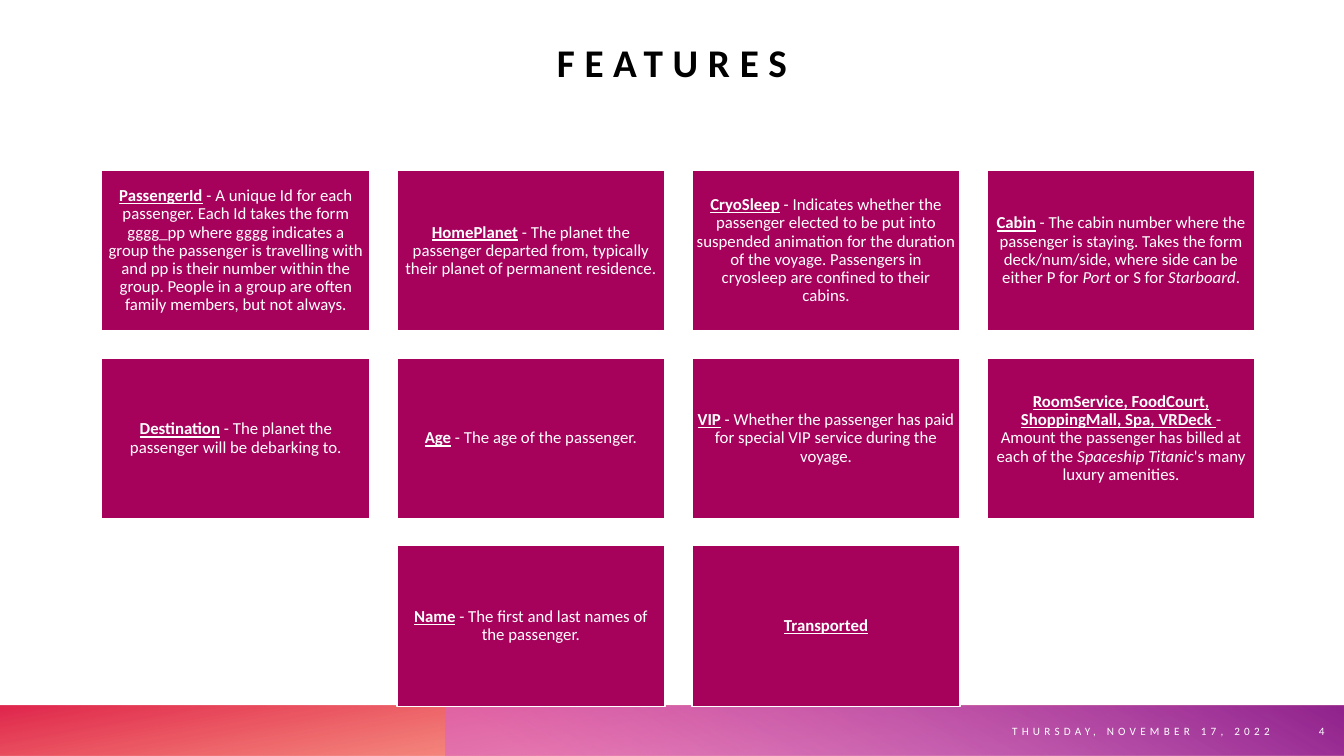
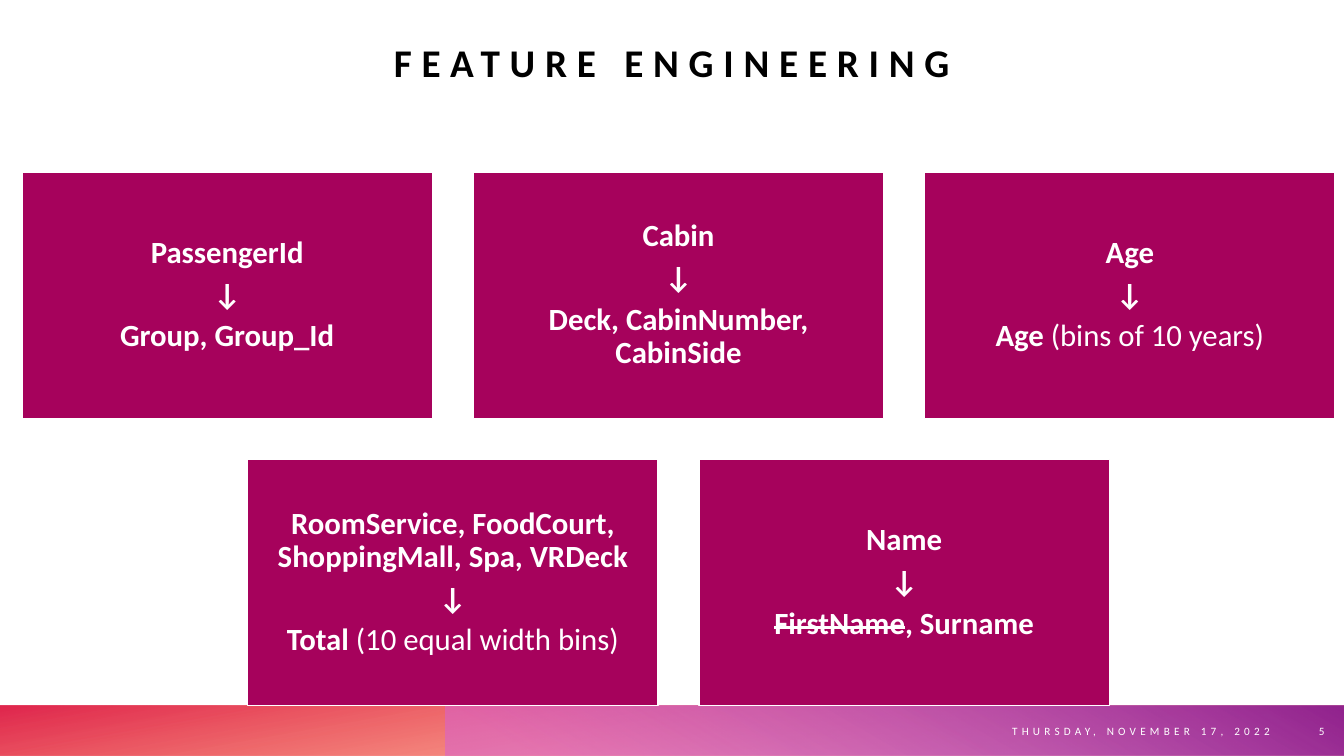
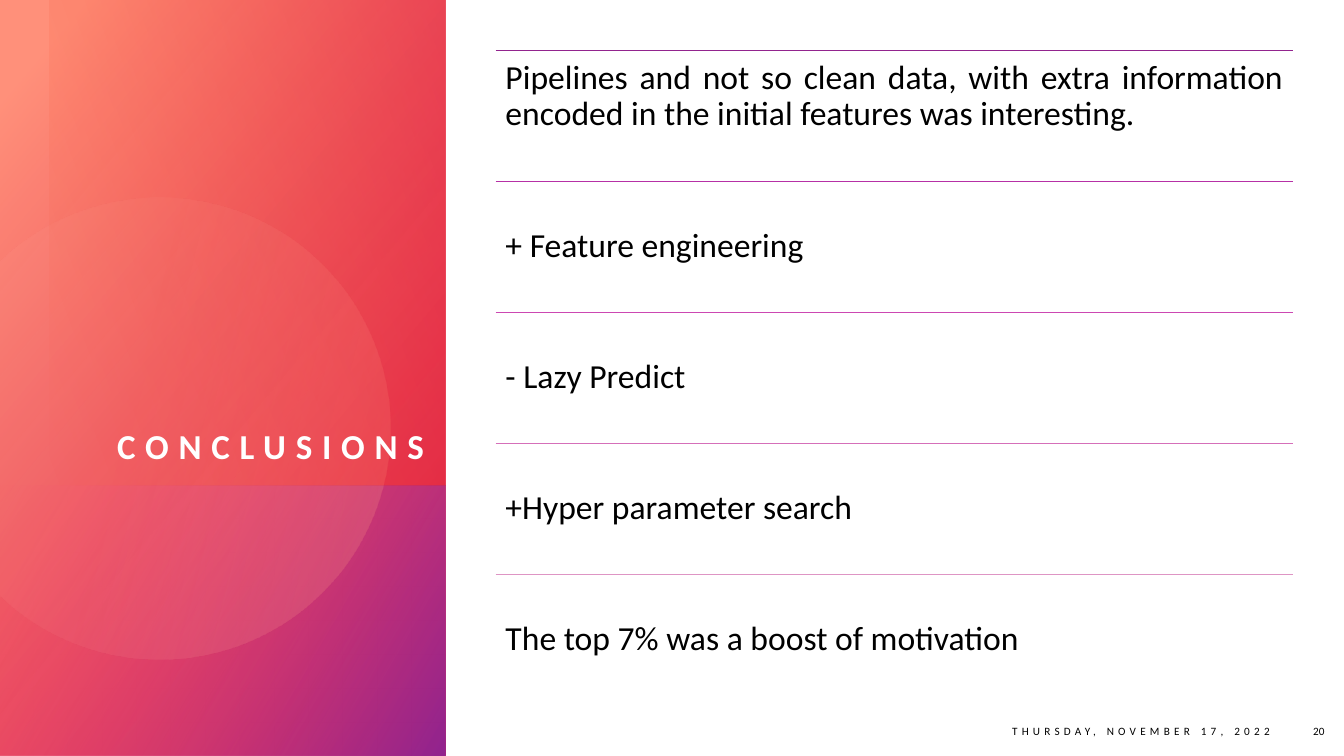
"""Build three slides on passenger features, feature engineering and conclusions."""
import math
from dataclasses import dataclass, replace
from typing import NamedTuple

from lxml import etree
from pptx import Presentation
from pptx import util as u
from pptx.dml import color
from pptx.enum import shapes, text
from pptx.oxml import ns

WIDE, HIGH = 33.87, 19.05
FONT = "Calibri"
WHITE, BLACK, WINE = "FFFFFF", "000000", "A6025C"
LEFT, MID, RIGHT = text.PP_ALIGN.LEFT, text.PP_ALIGN.CENTER, text.PP_ALIGN.RIGHT
DATE = "THURSDAY, NOVEMBER 17, 2022"


class Bit(NamedTuple):
    txt: str
    look: str = ""


class Area(NamedTuple):
    x: float
    y: float
    w: float
    h: float


class Stop(NamedTuple):
    pos: int
    tint: str
    solid: int = 100


@dataclass(frozen=True)
class Type:
    size: int
    tint: str = WHITE
    align: text.PP_ALIGN = MID
    anchor: text.MSO_ANCHOR = text.MSO_ANCHOR.MIDDLE
    pad: float = 0.25
    lead: float = 1.0
    after: int = 0
    track: int = 0


@dataclass(frozen=True)
class Panel:
    area: Area
    stops: tuple[Stop, Stop]
    angle: int
    turn: int = 0


@dataclass(frozen=True)
class Grid:
    top: float
    width: float
    cols: int
    style: Type


HEAD = Type(28, BLACK, anchor=text.MSO_ANCHOR.BOTTOM, pad=0, track=700)
FOOT = Type(8, align=RIGHT)
ITEM = Type(24, BLACK, LEFT, lead=0.9, after=7)

BANDS = (
    Panel(Area(0, 17.78, WIDE, 1.27), (Stop(14, "FE4A00", 28), Stop(100, "DA002F", 85)), 100, 180),
    Panel(Area(11.23, 17.78, 22.64, 1.27), (Stop(9, "D861D4", 55), Stop(99, "92248E")), 240),
)
SIDE = (
    Panel(Area(-3.91, 3.91, HIGH, 11.23), (Stop(8, "FF907A"), Stop(100, "DA002F", 89)), 50, 270),
    Panel(Area(2.19, 10.03, 6.83, 11.23), (Stop(0, "FF5076", 0), Stop(99, "92248E")), 60, 270),
)
GLOW = Panel(Area(0.13, 1.14, 12.22, 9.96), (Stop(0, "DA002F", 29), Stop(100, "FE4A00", 0)), 110, 90)

FIELDS = Grid(4.29, 6.76, 4, Type(12, pad=0.12, lead=0.9, after=3))
STEPS = Grid(4.34, 10.34, 3, Type(22, pad=0.23, lead=0.9, after=6))

FEATURES = (
    (Bit("PassengerId", "bu"), Bit(" - A unique Id for each passenger. Each Id takes the form gggg_pp where gggg "
                                   "indicates a group the passenger is travelling with and pp is their number within "
                                   "the group. People in a group are often family members, but not always.")),
    (Bit("HomePlanet", "bu"), Bit(" - The planet the passenger departed from, typically their planet of "
                                  "permanent residence.")),
    (Bit("CryoSleep", "bu"), Bit(" - Indicates whether the passenger elected to be put into suspended animation for "
                                 "the duration of the voyage. Passengers in cryosleep are confined to their cabins.")),
    (Bit("Cabin", "bu"), Bit(" - The cabin number where the passenger is staying. Takes the form deck/num/side, "
                             "where side can be either P for "),
     Bit("Port", "i"), Bit(" or S for "), Bit("Starboard", "i"), Bit(".")),
    (Bit("Destination", "bu"), Bit(" - The planet the passenger will be debarking to.")),
    (Bit("Age", "bu"), Bit(" - The age of the passenger.")),
    (Bit("VIP", "bu"), Bit(" - Whether the passenger has paid for special VIP service during the voyage.")),
    (Bit("RoomService, FoodCourt, ShoppingMall, Spa, VRDeck ", "bu"),
     Bit("- Amount the passenger has billed at each of the "),
     Bit("Spaceship Titanic", "i"), Bit("'s many luxury amenities.")),
    (Bit("Name", "bu"), Bit(" - The first and last names of the passenger.")),
    (Bit("Transported", "bu"),),
)
CHANGES = (
    ("PassengerId", (Bit("Group, Group_Id", "b"),)),
    ("Cabin", (Bit("Deck, CabinNumber, CabinSide", "b"),)),
    ("Age", (Bit("Age", "b"), Bit(" (bins of 10 years)"))),
    ("RoomService, FoodCourt, ShoppingMall, Spa, VRDeck", (Bit("Total ", "b"), Bit("(10 equal width bins)"))),
    ("Name", (Bit("FirstName", "bs"), Bit(", Surname", "b"))),
)
LESSONS = (
    ("92248E", "Pipelines and not so clean data, with extra information encoded in the initial features "
               "was interesting."),
    ("B630A6", "+ Feature engineering"),
    ("CC48B2", "- Lazy Predict"),
    ("D56FB9", "+Hyper parameter search"),
    ("DE95C4", "The top 7% was a boost of motivation"),
)


def rgb(tint: str) -> color.RGBColor:
    return color.RGBColor.from_string(tint)


def frame(area: Area) -> list[u.Length]:
    return [u.Cm(side) for side in area]


def mark(font, look: set[str]) -> None:
    if "b" in look:
        font.bold = True
    if "u" in look:
        font.underline = True
    if "i" in look:
        font.italic = True


def write(shape, paras, style: Type) -> None:
    body = shape.text_frame
    body.word_wrap = True
    body.vertical_anchor = style.anchor
    body.margin_left = body.margin_right = body.margin_top = body.margin_bottom = u.Cm(style.pad)
    for num, bits in enumerate(paras):
        para = body.add_paragraph() if num else body.paragraphs[0]
        para.alignment = style.align
        para.line_spacing = style.lead
        para.space_after = u.Pt(style.after)
        para.font.name = FONT
        para.font.size = u.Pt(style.size)
        para.font.color.rgb = rgb(style.tint)
        same = set.intersection(*(set(bit.look) for bit in bits))
        mark(para.font, same)
        for bit in bits:
            run = para.add_run()
            run.text = bit.txt
            mark(run.font, set(bit.look) - same)
            if style.track:
                run._r.get_or_add_rPr().set("spc", str(style.track))
            if "s" in bit.look:
                run._r.get_or_add_rPr().set("strike", "sngStrike")


def label(slide, area: Area, paras, style: Type) -> None:
    write(slide.shapes.add_textbox(*frame(area)), paras, style)


def shade(shape, stops: tuple[Stop, Stop], angle: int) -> None:
    shape.shadow.inherit = False
    shape.line.fill.background()
    shape.fill.gradient()
    shape.fill.gradient_angle = 360 - angle
    for mark_, stop in zip(shape.fill.gradient_stops, stops):
        mark_.position = stop.pos / 100
        mark_.color.rgb = rgb(stop.tint)
    for node, stop in zip(shape.element.xpath(".//a:gs/a:srgbClr"), stops):
        etree.SubElement(node, ns.qn("a:alpha")).set("val", str(stop.solid * 1000))


def paint(slide, panel: Panel) -> None:
    shape = slide.shapes.add_shape(shapes.MSO_SHAPE.RECTANGLE, *frame(panel.area))
    shade(shape, panel.stops, panel.angle)
    shape.rotation = panel.turn
    shape.element.xpath(".//a:xfrm")[0].set("flipH", "1")


def disc(slide, x: float, y: float, rad: float) -> None:
    edge = math.acos(-x / rad)
    turns = [edge * (step / 60 - 1) for step in range(121)]
    dots = [(u.Cm(x + rad * math.cos(turn)), u.Cm(y + rad * math.sin(turn))) for turn in turns]
    form = slide.shapes.build_freeform(*dots[0], scale=1.0)
    form.add_line_segments(dots[1:], close=True)
    shade(form.convert_to_shape(), (Stop(36, "FFBCAF", 6), Stop(100, "FF907A", 26)), 14)


def tiles(slide, grid: Grid, cells) -> None:
    gap, high = grid.width / 10, grid.width * 0.6
    for first in range(0, len(cells), grid.cols):
        row = cells[first:first + grid.cols]
        start = 17.1 - (len(row) * (grid.width + gap) - gap) / 2
        top = grid.top + first // grid.cols * (high + gap)
        for col, paras in enumerate(row):
            area = Area(start + col * (grid.width + gap), top, grid.width, high)
            tile = slide.shapes.add_shape(shapes.MSO_SHAPE.RECTANGLE, *frame(area))
            tile.shadow.inherit = False
            tile.fill.solid()
            tile.fill.fore_color.rgb = rgb(WINE)
            tile.line.color.rgb = rgb(WHITE)
            tile.line.width = u.Pt(1)
            write(tile, paras, grid.style)


def rule(slide, x: float, y: float, wide: float, tint: str) -> None:
    line = slide.shapes.add_connector(shapes.MSO_CONNECTOR.STRAIGHT, *frame(Area(x, y, x + wide, y)))
    line.line.color.rgb = rgb(tint)
    line.line.width = u.Pt(1)
    etree.SubElement(line.element.spPr, ns.qn("a:effectLst"))


def foot(slide, page: int, tint: str) -> None:
    style = replace(FOOT, tint=tint)
    label(slide, Area(32.41, 17.81, 1.22, 1.24), [[Bit(str(page))]], style)
    label(slide, Area(21.97, 17.81, 10.29, 1.24), [[Bit(DATE)]], replace(style, track=300))


def board(slide, title: str, page: int, grid: Grid, cells) -> None:
    for band in BANDS:
        paint(slide, band)
    tiles(slide, grid, cells)
    label(slide, Area(0, 0.36, WIDE, 1.8), [[Bit(title, "b")]], HEAD)
    foot(slide, page, WHITE)


def closing(slide) -> None:
    for panel in SIDE:
        paint(slide, panel)
    disc(slide, 4.03, 10.79, 5.82)
    paint(slide, GLOW)
    label(slide, Area(1.27, 2.41, 9.42, 9.35), [[Bit("CONCLUSIONS", "b")]],
          replace(HEAD, size=25, tint=WHITE, align=RIGHT))
    foot(slide, 20, BLACK)
    lead = replace(ITEM, align=text.PP_ALIGN.JUSTIFY, anchor=text.MSO_ANCHOR.TOP)
    for num, (tint, line) in enumerate(LESSONS):
        area = Area(12.49, 1.27 + num * 3.3, 20.1, 3.3)
        rule(slide, area.x, area.y, area.w, tint)
        label(slide, area, [[Bit(line)]], ITEM if num else lead)


def main() -> None:
    deck = Presentation()
    deck.slide_width, deck.slide_height = u.Cm(WIDE), u.Cm(HIGH)
    one, two, three = (deck.slides.add_slide(deck.slide_layouts[6]) for _ in range(3))
    board(one, "FEATURES", 4, FIELDS, [[bits] for bits in FEATURES])
    board(two, "FEATURE ENGINEERING", 5, STEPS,
          [[[Bit(old, "b")], [Bit("↓", "b")], new] for old, new in CHANGES])
    closing(three)
    deck.save("out.pptx")


if __name__ == "__main__":
    main()
